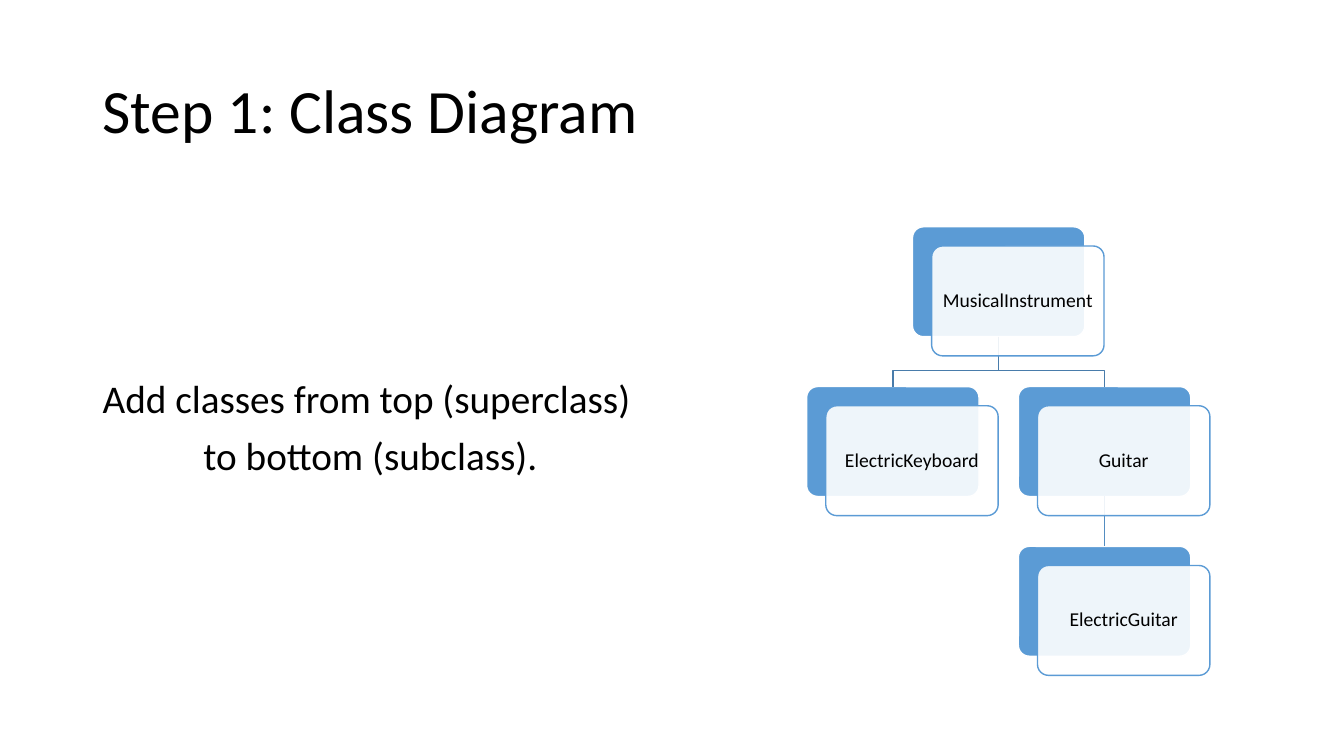
from lxml import etree
from pptx import Presentation
from pptx.dml.color import RGBColor
from pptx.enum.shapes import MSO_CONNECTOR as Connector, MSO_SHAPE as Shape
from pptx.enum.text import MSO_ANCHOR as Anchor, PP_ALIGN as Align
from pptx.oxml.ns import qn
from pptx.util import Inches, Pt

BLACK = RGBColor(0x00, 0x00, 0x00)
WHITE = RGBColor(0xFF, 0xFF, 0xFF)
BLUE = RGBColor(0x5B, 0x9B, 0xD5)
FORK_BLUE = RGBColor(0x49, 0x7C, 0xAB)
LINK_BLUE = RGBColor(0x53, 0x8D, 0xC1)
FONT = "Calibri"

# Class name: (column, row, superclass)
CLASSES = {
    "MusicalInstrument": (0.5, 0, None),
    "ElectricKeyboard": (0, 1, "MusicalInstrument"),
    "Guitar": (1, 1, "MusicalInstrument"),
    "ElectricGuitar": (1, 2, "Guitar"),
}
CARD_W, CARD_H = Inches(1.71), Inches(1.09)
OFFSET = Inches(0.19)  # front card against back card
BEND = 0.68  # share of the drop at which a fork turns


def style_text(para, size):
    para.line_spacing = 0.9
    for span in para.runs:
        span.font.name = FONT
        span.font.size = Pt(size)
        span.font.color.rgb = BLACK


def add_text(page, box, lines, size, anchor):
    frame = page.shapes.add_textbox(*box).text_frame
    frame.word_wrap = True
    frame.vertical_anchor = anchor
    frame.text = "\n".join(lines)
    for para in frame.paragraphs:
        style_text(para, size)
    return frame


def add_card(page, left, top, fill, line):
    card = page.shapes.add_shape(Shape.ROUNDED_RECTANGLE, left, top, CARD_W, CARD_H)
    card.adjustments[0] = 0.1
    card.shadow.inherit = False
    card.fill.solid()
    card.fill.fore_color.rgb = fill
    card.line.color.rgb = line
    card.line.width = Pt(1)
    return card


def add_front_card(page, back, name):
    card = add_card(page, back.left + OFFSET, back.top + OFFSET, WHITE, BLUE)
    color = card.fill._xPr.find(qn("a:solidFill"))[0]
    etree.SubElement(color, qn("a:alpha"), val="90000")
    frame = card.text_frame
    frame.word_wrap = True
    frame.vertical_anchor = Anchor.MIDDLE
    frame.margin_left = frame.margin_right = Inches(0.05)
    frame.margin_top = frame.margin_bottom = Inches(0.05)
    frame.text = name
    para = frame.paragraphs[0]
    para.alignment = Align.CENTER
    para.space_after = Pt(5)
    style_text(para, 14)


def add_link(page, parent, child):
    start_x, end_x = (card.left + CARD_W // 2 for card in (parent, child))
    start_y, end_y = parent.top + CARD_H, child.top
    if start_x == end_x:
        link = page.shapes.add_connector(Connector.STRAIGHT, start_x, start_y, end_x, end_y)
        link.begin_connect(parent, 2)
        link.end_connect(child, 0)
        etree.SubElement(link._element.spPr, qn("a:effectLst"))
        link.line.color.rgb = LINK_BLUE
    else:
        bend_y = start_y + int(BEND * (end_y - start_y))
        path_builder = page.shapes.build_freeform(start_x, start_y)
        path_builder.add_line_segments(
            [(start_x, bend_y), (end_x, bend_y), (end_x, end_y)], close=False)
        link = path_builder.convert_to_shape()
        link.shadow.inherit = False
        link.fill.background()
        link.line.color.rgb = FORK_BLUE
    link.line.width = Pt(1)


def add_class_diagram(page, left, top, width, height):
    column_step = width - OFFSET - CARD_W
    row_step = (height - OFFSET - CARD_H) // 2
    # Back cards, then links, then labelled front cards
    backs = {
        name: add_card(page, left + int(column * column_step), top + row * row_step, BLUE, WHITE)
        for name, (column, row, _) in CLASSES.items()
    }
    for name, (_, _, parent) in CLASSES.items():
        if parent:
            add_link(page, backs[parent], backs[name])
    for name, back in backs.items():
        add_front_card(page, back, name)


def add_instruction(page, box):
    lines = ["Add classes from top (superclass)", "to bottom (subclass)."]
    second = add_text(page, box, lines, 28, Anchor.TOP).paragraphs[1]
    second.space_before = Pt(10)
    second._p.get_or_add_pPr().set("marL", str(Inches(1)))


def main():
    deck = Presentation()
    deck.slide_width, deck.slide_height = Inches(13.33), Inches(7.5)
    page = deck.slides.add_slide(deck.slide_layouts[6])
    left, width = Inches(0.92), Inches(11.5)
    # Title
    add_text(page, (left, Inches(0.4), width, Inches(1.45)),
             ["Step 1: Class Diagram"], 44, Anchor.MIDDLE)
    # Instruction
    add_instruction(page, (left, Inches(3.72), Inches(6.5), Inches(3.04)))
    # Class hierarchy
    add_class_diagram(page, Inches(8), Inches(2.25), Inches(4), Inches(4.45))
    deck.save("out.pptx")


if __name__ == "__main__":
    main()
